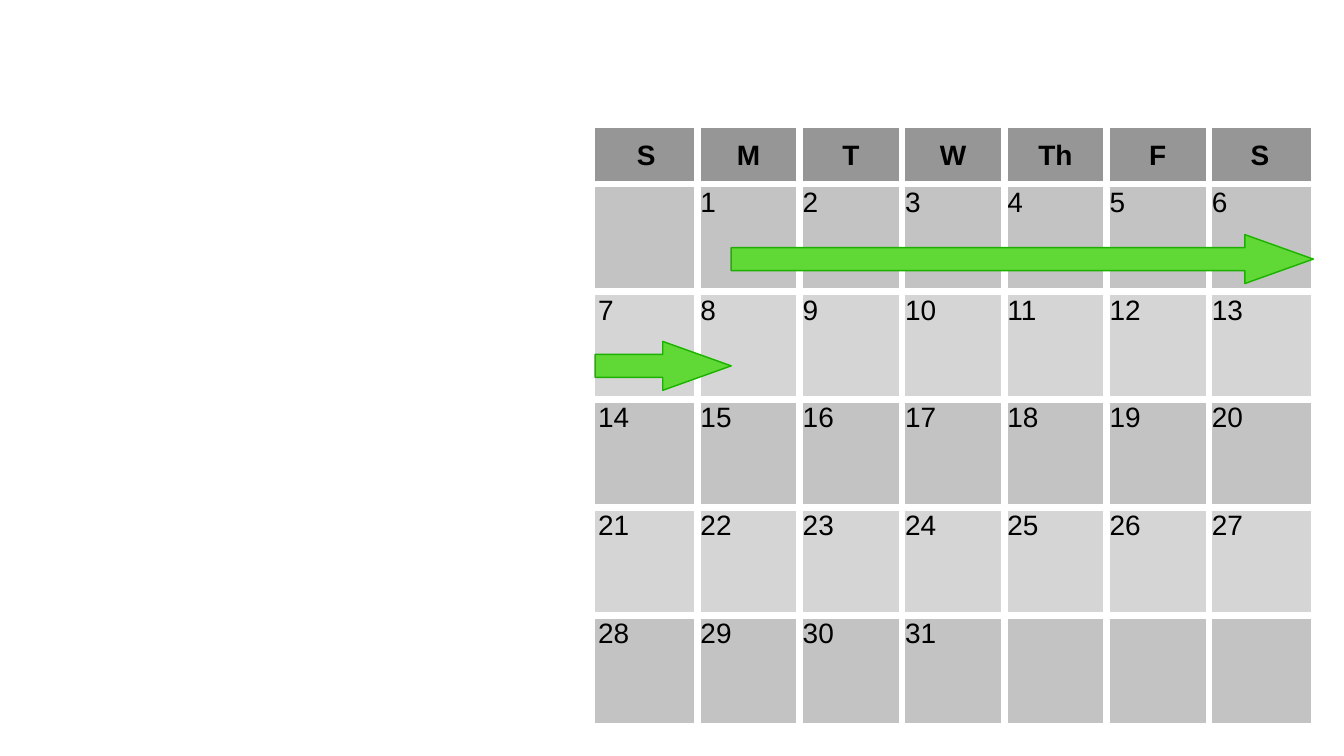
from lxml.etree import SubElement
from pptx import Presentation
from pptx.dml.color import RGBColor
from pptx.enum.shapes import MSO_SHAPE
from pptx.enum.text import MSO_ANCHOR, PP_ALIGN
from pptx.oxml.ns import qn
from pptx.util import Inches, Pt

HEADER_GREY = RGBColor(0x96, 0x96, 0x96)
WEEK_GREYS = RGBColor(0xC3, 0xC3, 0xC3), RGBColor(0xD5, 0xD5, 0xD5)
WHITE = RGBColor(0xFF, 0xFF, 0xFF)
BLACK = RGBColor(0, 0, 0)
ARROW_FILL = RGBColor(0x60, 0xD9, 0x37)
ARROW_LINE = RGBColor(0x1E, 0xB0, 0x01)

WEEKDAYS = ["S", "M", "T", "W", "Th", "F", "S"]
WEEKS, LAST_DAY = 5, 31
COLUMN, HEADER_ROW, WEEK_ROW = Inches(2.03), Inches(1.11), Inches(2.14)
NO_STYLE = "{2D5ABB26-0587-4C30-8999-92F81FD0307C}"


def add_inner_borders(cell, row, column):
    """Draw white lines only where the cell meets another cell."""
    sides = {"L": column > 0, "R": column < len(WEEKDAYS) - 1,
             "T": row > 0, "B": row < WEEKS}
    properties = cell._tc.get_or_add_tcPr()
    for side, is_inner in sides.items():
        line = SubElement(properties, qn(f"a:ln{side}"), w=str(Pt(11) if is_inner else 0))
        if is_inner:
            fill = SubElement(line, qn("a:solidFill"))
            SubElement(fill, qn("a:srgbClr"), val=str(WHITE))
        else:
            SubElement(line, qn("a:noFill"))


def fill_cell(cell, row, column):
    add_inner_borders(cell, row, column)
    is_header = row == 0
    cell.fill.solid()
    cell.fill.fore_color.rgb = HEADER_GREY if is_header else WEEK_GREYS[(row - 1) % 2]
    cell.margin_left = cell.margin_right = Inches(0.06)
    cell.margin_top = cell.margin_bottom = Inches(0.06)
    cell.vertical_anchor = MSO_ANCHOR.MIDDLE if is_header else MSO_ANCHOR.TOP

    # The month starts on a Monday, so column 0 of the first week is empty
    day = (row - 1) * len(WEEKDAYS) + column
    if is_header:
        cell.text_frame.text = WEEKDAYS[column]
    elif 1 <= day <= LAST_DAY:
        cell.text_frame.text = str(day)
    para = cell.text_frame.paragraphs[0]
    para.alignment = PP_ALIGN.CENTER if is_header else PP_ALIGN.LEFT
    for span in para.runs:
        span.font.name = "Arial"
        span.font.size = Pt(40)
        span.font.bold = is_header
        span.font.color.rgb = BLACK


def add_calendar(page, left, top):
    frame = page.shapes.add_table(WEEKS + 1, len(WEEKDAYS), left, top,
                                  COLUMN * len(WEEKDAYS), HEADER_ROW + WEEK_ROW * WEEKS)
    table = frame.table
    table.first_row = table.horz_banding = False
    frame._element.find(".//" + qn("a:tableStyleId")).text = NO_STYLE
    for column in table.columns:
        column.width = COLUMN
    for row, table_row in enumerate(table.rows):
        table_row.height = WEEK_ROW if row else HEADER_ROW
        for column, cell in enumerate(table_row.cells):
            fill_cell(cell, row, column)


def add_span_arrow(page, left, top, week, start, end):
    """Mark a run of days; week, start and end count in calendar rows and columns."""
    arrow = page.shapes.add_shape(
        MSO_SHAPE.RIGHT_ARROW,
        int(left + start * COLUMN), int(top + HEADER_ROW + week * WEEK_ROW),
        int((end - start) * COLUMN), Inches(0.97))
    arrow.adjustments[0], arrow.adjustments[1] = 0.47, 1.4
    arrow.shadow.inherit = False
    arrow.fill.solid()
    arrow.fill.fore_color.rgb = ARROW_FILL
    arrow.line.color.rgb = ARROW_LINE
    arrow.line.width = Pt(2)


deck = Presentation()
deck.slide_width, deck.slide_height = Inches(26.67), Inches(15)
page = deck.slides.add_slide(deck.slide_layouts[6])

# Month grid
left, top = Inches(11.81), Inches(2.54)
add_calendar(page, left, top)

# Eight-day span that wraps into the second week
add_span_arrow(page, left, top, week=0.47, start=1.33, end=7.02)
add_span_arrow(page, left, top, week=1.46, start=0, end=1.33)

deck.save("out.pptx")
